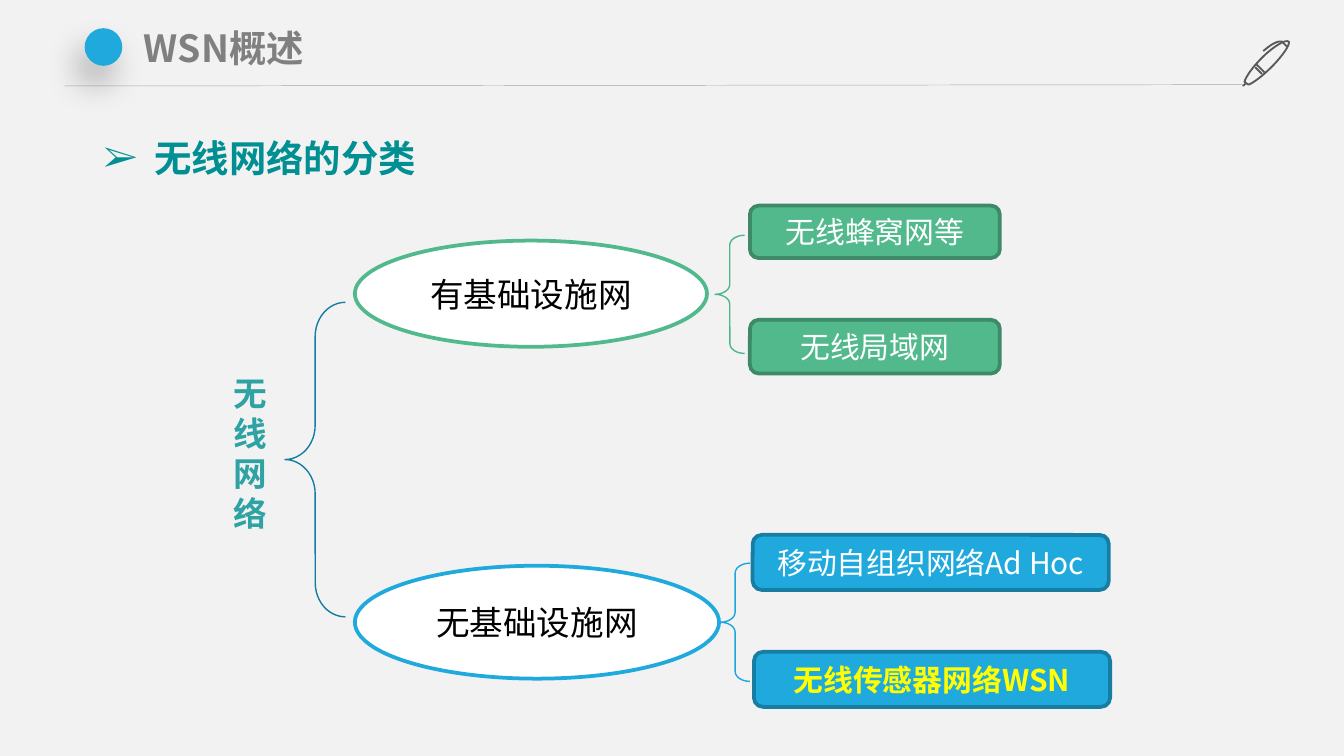
from dataclasses import dataclass

from lxml import etree
from pptx import Presentation
from pptx import util as u
from pptx.dml.color import RGBColor
from pptx.enum import shapes, text
from pptx.oxml import ns

COLS, ROWS = 100, 56.25
KIND = shapes.MSO_SHAPE
MID = text.MSO_ANCHOR.MIDDLE
LEFT, MIDDLE = text.PP_ALIGN.LEFT, text.PP_ALIGN.CENTER


@dataclass(frozen=True)
class Theme:
    """Hold the colours, fonts and type sizes."""
    back: str = "F2F2F2"
    rule: str = "A6A6A6"
    pen: str = "595959"
    title: str = "808080"
    head: str = "008F92"
    root: str = "2FA2A4"
    stem: str = "147BA2"
    ink: str = "000000"
    white: str = "FFFFFF"
    hot: str = "FFFF00"
    green: str = "52B98C"
    moss: str = "3D8968"
    mint: str = "4EB789"
    blue: str = "20A9DD"
    navy: str = "187DA3"
    sky: str = "1BA7DD"
    sans: str = "Noto Sans CJK SC"
    serif: str = "Times New Roman"
    big: int = 20
    mid: int = 18
    small: int = 16


T = Theme()

PEN = (
    ((93.9, 5.5), ((93.4, 5), (93.4, 5), (93.4, 5))),
    ((93.5, 4.8), ((94.1, 5.4), (94.1, 5.4), (94.1, 5.4))),
    ((95.9, 3.1), ((95.7, 2.9), (94.8, 3.4), (93.9, 4.3)),
     ((93.2, 5), (92.7, 5.7), (92.6, 6.1)),
     ((92.9, 6.3), (92.9, 6.3), (92.9, 6.3)),
     ((93.2, 6.2), (93.9, 5.7), (94.6, 5)),
     ((95.5, 4.1), (96, 3.3), (95.9, 3.1))),
    ((92.7, 6.2), ((92.5, 6.4), (92.5, 6.4), (92.5, 6.4))),
    ((95.8, 3.5), ((95.8, 3.5), (95.6, 3.3), (95.4, 3.1)),
     ((95.4, 3.1), (95, 2.9), (94, 3.8))),
)


def grid(*vals):
    """Turn grid steps into lengths."""
    return [u.Inches(v * 10 / COLS) for v in vals]


def rgb(hue):
    """Make a colour from its hex code."""
    return RGBColor.from_string(hue)


def node(host, tag, **attrs):
    """Add a drawing element to its host."""
    child = etree.SubElement(host, ns.qn(tag))
    for key, val in attrs.items():
        child.set(key, str(val))
    return child


def write(par, words, size, hue, face=T.sans, bold=False):
    """Add one styled run."""
    run = par.add_run()
    run.text = words
    font = run.font
    font.size, font.bold, font.name = u.Pt(size), bold, face
    font.color.rgb = rgb(hue)
    node(font._element, "a:ea", typeface=T.sans)


def shape(slide, kind, box, fill=None, line=None, width=2, adj=None):
    """Add a flat preset shape."""
    item = slide.shapes.add_shape(kind, *grid(*box))
    item.shadow.inherit = False
    if fill:
        item.fill.solid()
        item.fill.fore_color.rgb = rgb(fill)
    else:
        item.fill.background()
    if line:
        item.line.color.rgb = rgb(line)
        item.line.width = u.Pt(width)
    else:
        item.line.fill.background()
    if adj:
        item.adjustments[0] = adj
    return item


def label(item, words, size, hue, bold=False, wrap=True):
    """Centre words in a shape."""
    frame = item.text_frame
    frame.word_wrap, frame.vertical_anchor = wrap, MID
    par = frame.paragraphs[0]
    par.alignment = MIDDLE
    write(par, words, size, hue, bold=bold)


def oval(slide, box, line, words):
    """Add a class of networks."""
    label(shape(slide, KIND.OVAL, box, T.white, line), words, T.mid, T.ink)


def chip(slide, box, fill, line, words, hue=T.white, bold=False):
    """Add an example network."""
    item = shape(slide, KIND.ROUNDED_RECTANGLE, box, fill, line, adj=0.167)
    label(item, words, T.small, hue, bold, wrap=False)


def brace(slide, box, line, adj=0.335):
    """Add a thin left brace."""
    shape(slide, KIND.LEFT_BRACE, box, line=line, width=0.75, adj=adj)


def bezier(start, curve, steps=8):
    """List points along a cubic curve."""
    pts = (start, *curve)
    out = []
    for i in range(1, steps + 1):
        t = i / steps
        mix = ((1 - t) ** 3, 3 * t * (1 - t) ** 2, 3 * t * t * (1 - t), t ** 3)
        out.append(grid(*(sum(m * p[k] for m, p in zip(mix, pts))
                          for k in (0, 1))))
    return out


def pen(slide):
    """Draw the pen outline."""
    path = slide.shapes.build_freeform(*grid(*PEN[0][0]), scale=1.0)
    for n, (start, *curves) in enumerate(PEN):
        if n:
            path.move_to(*grid(*start))
        for curve in curves:
            path.add_line_segments(bezier(start, curve), close=False)
            start = curve[-1]
    item = path.convert_to_shape()
    item.shadow.inherit = False
    item.fill.background()
    item.line.color.rgb = rgb(T.pen)
    item.line.width = u.Pt(1)


def banner(slide):
    """Add the rule, pen, dot and title."""
    rule = slide.shapes.add_connector(
        shapes.MSO_CONNECTOR.STRAIGHT, *grid(4.8, 6.4, 92.5, 6.3))
    rule.line.color.rgb = rgb(T.rule)
    rule.line.width = u.Pt(0.25)
    node(rule._element.spPr, "a:effectLst")
    pen(slide)
    dot = shape(slide, KIND.OVAL, (6.3, 2.1, 2.8, 2.8), T.blue)
    glow = node(dot._element.spPr.find(ns.qn("a:effectLst")), "a:outerShdw",
                blurRad=u.Pt(18), dist=u.Pt(11), dir=113 * 60000,
                algn="ctr", rotWithShape=0)
    node(node(glow, "a:srgbClr", val=T.ink), "a:alpha", val=27000)
    title = slide.shapes.title
    title.left, title.top, title.width, title.height = grid(9.8, 1.4, 82.7, 4.3)
    frame = title.text_frame
    frame.auto_size, frame.vertical_anchor = text.MSO_AUTO_SIZE.NONE, MID
    frame.margin_left = frame.margin_right = u.Inches(0.09)
    frame.margin_top = frame.margin_bottom = 0
    par = frame.paragraphs[0]
    par.alignment = LEFT
    write(par, "WSN概述", T.big, T.title, bold=True)


def heading(slide):
    """Add the bulleted heading."""
    frame = slide.shapes.add_textbox(*grid(6.7, 8.6, 89.8, 5)).text_frame
    frame.word_wrap = True
    par = frame.paragraphs[0]
    par.line_spacing, par.space_after = 1.3, u.Pt(3)
    props = par._p.get_or_add_pPr()
    props.set("marL", str(u.Inches(0.38)))
    props.set("indent", str(-u.Inches(0.38)))
    node(props, "a:buFont", typeface=T.serif)
    node(props, "a:buChar", char="➢")
    write(par, "无线网络的分类", T.big, T.head, T.serif, True)


def root(slide):
    """Stack the root label one sign a line."""
    frame = slide.shapes.add_textbox(*grid(16.4, 27.8, 4.5, 11.8)).text_frame
    frame.word_wrap, frame.vertical_anchor = False, MID
    for n, sign in enumerate("无线网络"):
        par = frame.add_paragraph() if n else frame.paragraphs[0]
        par.line_spacing = u.Pt(21.5)
        write(par, sign, T.mid, T.root, bold=True)


def main():
    """Build and save the slide."""
    deck = Presentation()
    deck.slide_width, deck.slide_height = grid(COLS, ROWS)
    slide = deck.slides.add_slide(deck.slide_layouts[5])
    slide.background.fill.solid()
    slide.background.fill.fore_color.rgb = rgb(T.back)
    banner(slide)
    heading(slide)
    root(slide)
    oval(slide, (26.4, 17.9, 26.2, 7.9), T.green, "有基础设施网")
    oval(slide, (26.4, 42.1, 27.1, 8.4), T.blue, "无基础设施网")
    chip(slide, (56, 39.8, 26.5, 4.1), T.blue, T.navy, "移动自组织网络Ad Hoc")
    chip(slide, (56.1, 48.5, 26.5, 4.1), T.blue, T.navy, "无线传感器网络WSN",
         T.hot, True)
    brace(slide, (21.2, 22.5, 4.5, 23.4), T.stem, 0.566)
    for top, high, words in ((15.3, 3.9, "无线蜂窝网等"),
                             (23.8, 4, "无线局域网")):
        chip(slide, (55.8, top, 18.6, high), T.green, T.moss, words)
    brace(slide, (53.2, 17.5, 2.2, 8.8), T.mint)
    brace(slide, (53.6, 41.9, 2.2, 8.8), T.sky)
    deck.save("out.pptx")


if __name__ == "__main__":
    main()
